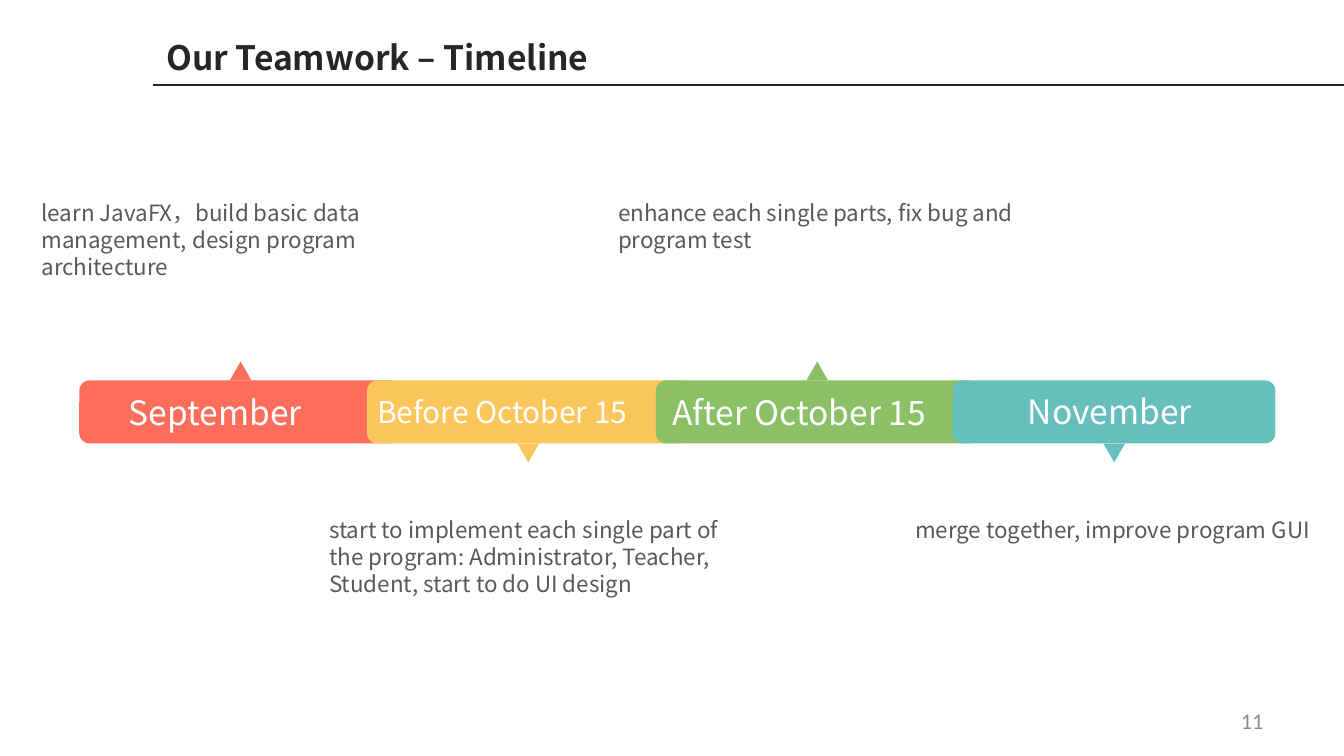
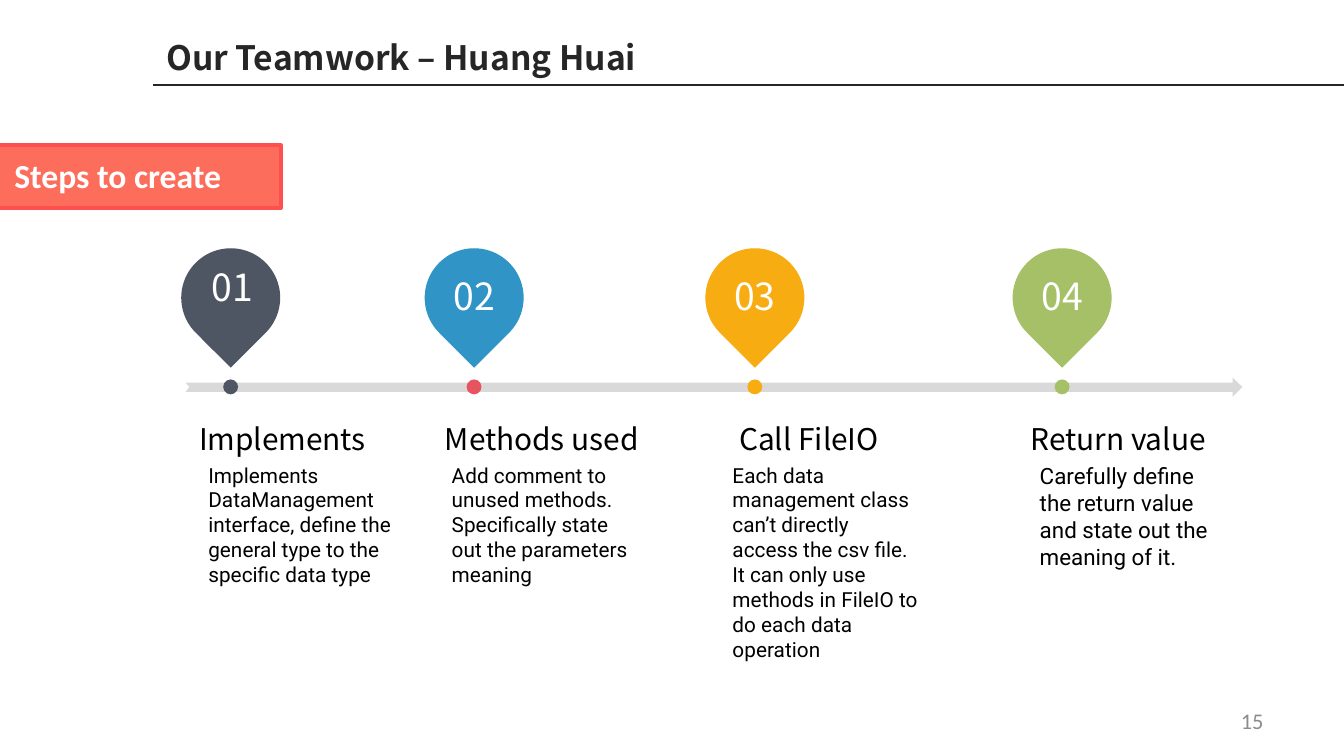
from lxml.etree import SubElement
from pptx import Presentation
from pptx.dml.color import RGBColor
from pptx.enum.shapes import MSO_CONNECTOR as Connector, MSO_SHAPE as Shape
from pptx.enum.text import MSO_ANCHOR as Anchor, MSO_AUTO_SIZE as AutoSize, PP_ALIGN as Align
from pptx.oxml.ns import qn
from pptx.util import Pt

INK = RGBColor(0x26, 0x26, 0x26)
BLACK = RGBColor(0x00, 0x00, 0x00)
WHITE = RGBColor(0xFF, 0xFF, 0xFF)
TEXT_GREY = RGBColor(0x59, 0x59, 0x59)
NUMBER_GREY = RGBColor(0x8C, 0x8C, 0x8C)
TRACK_GREY = RGBColor(0xD9, 0xD9, 0xD9)
CORAL = RGBColor(0xFC, 0x6D, 0x5C)
CORAL_EDGE = RGBColor(0xFF, 0x50, 0x50)
YELLOW = RGBColor(0xFB, 0xC6, 0x5C)
GREEN = RGBColor(0x8B, 0xC0, 0x66)
TEAL = RGBColor(0x66, 0xBF, 0xBD)
SLATE = RGBColor(0x4E, 0x56, 0x63)
BLUE = RGBColor(0x31, 0x94, 0xC6)
RED = RGBColor(0xE7, 0x53, 0x5F)
AMBER = RGBColor(0xF7, 0xAC, 0x12)
OLIVE = RGBColor(0xA5, 0xC0, 0x67)

MAIN_FONT = "Noto Sans CJK SC"
NOTE_FONT = "Roboto"
PLAIN_FONT = "Calibri"
LINE_HEIGHT = 1.2


class SlideWriter:
    """Holds the deck, its shared style and the slide being filled."""

    def __init__(self):
        self.deck = Presentation()
        self.deck.slide_width, self.deck.slide_height = Pt(720), Pt(405)
        self.page = None

    def start(self, title, title_width, number):
        """Add a page with its title, rule and page number."""
        self.page = self.deck.slides.add_slide(self.deck.slide_layouts[6])
        self.text(title, 82, 16.5, title_width, 28.8, 18, INK, bold=True, wrap=False)
        self.rule(82, 45.4, 720)
        self.text(str(number), 516, 375, 168, 21.6, 12, NUMBER_GREY, font=PLAIN_FONT,
                  align=Align.RIGHT, anchor=Anchor.MIDDLE, grow=False)

    def text(self, words, left, top, width, height, size, color, font=MAIN_FONT,
             bold=False, wrap=True, grow=True, align=Align.LEFT, anchor=Anchor.TOP,
             insets=(7.2, 3.6), spacing=None):
        box = self.page.shapes.add_textbox(Pt(left), Pt(top), Pt(width), Pt(height))
        frame = box.text_frame
        frame.text = words
        frame.word_wrap = wrap
        frame.auto_size = AutoSize.SHAPE_TO_FIT_TEXT if grow else AutoSize.NONE
        frame.vertical_anchor = anchor
        frame.margin_left = frame.margin_right = Pt(insets[0])
        frame.margin_top = frame.margin_bottom = Pt(insets[1])
        para = frame.paragraphs[0]
        para.alignment = align
        para.line_spacing = Pt(spacing or size * LINE_HEIGHT)
        span = para.runs[0]
        span.font.size, span.font.bold, span.font.name = Pt(size), bold, font
        span.font.color.rgb = color
        SubElement(span.font._element, qn("a:ea")).set("typeface", font)

    def paint(self, shape, fill, edge=None):
        shape.shadow.inherit = False
        shape.fill.solid()
        shape.fill.fore_color.rgb = fill
        if edge is None:
            shape.line.fill.background()
        else:
            shape.line.color.rgb = edge
            shape.line.width = Pt(2)

    def shape(self, kind, left, top, width, height, fill, edge=None, rotation=0):
        shape = self.page.shapes.add_shape(kind, Pt(left), Pt(top), Pt(width), Pt(height))
        shape.rotation = rotation
        self.paint(shape, fill, edge)

    def outline(self, points, fill):
        start, *rest = [(Pt(x), Pt(y)) for x, y in points]
        builder = self.page.shapes.build_freeform(*start)
        builder.add_line_segments(rest, close=True)
        self.paint(builder.convert_to_shape(), fill)

    def rule(self, left, top, right):
        line = self.page.shapes.add_connector(
            Connector.STRAIGHT, Pt(left), Pt(top), Pt(right), Pt(top))
        line.line.color.rgb = INK
        line.line.width = Pt(1)
        SubElement(line._element.spPr, qn("a:effectLst"))

    def period(self, left, color, label, label_box, label_size, note, note_height, above):
        """Draw one bar of the timeline with its pointer, label and note."""
        bar_top, bar_width, bar_height = 203.8, 172.8, 33.8
        tip_width, tip_height = 11.6, 10.1
        self.shape(Shape.ROUNDED_RECTANGLE, left, bar_top, bar_width, bar_height, color)
        self.shape(Shape.ISOSCELES_TRIANGLE, left + (bar_width - tip_width) / 2,
                   bar_top - tip_height if above else bar_top + bar_height,
                   tip_width, tip_height, color, rotation=0 if above else 180)
        self.text(label, *label_box, label_size * LINE_HEIGHT + 7.2, label_size, WHITE,
                  wrap=False)
        self.text(note, left - 27.4, 103 if above else 273, 226.8, note_height, 12,
                  TEXT_GREY)

    def step(self, number, center, pin_color, dot_color, heading, heading_left,
             heading_width, note, note_size=11.1, note_height=73, number_spacing=20):
        """Draw one numbered pin with its dot, heading and note."""
        pin, dot = 53, 8
        self.shape(Shape.TEAR, center - pin / 2, 133, pin, pin, pin_color, rotation=135)
        number_height = 20 if number_spacing == 20 else 12
        # A tight line lifts the digits above the middle of the pin.
        self.text(number, center - 22 + (20 - number_spacing) / 10,
                  160.4 - number_height / 2, 44, number_height, 20, WHITE,
                  align=Align.CENTER, anchor=Anchor.MIDDLE, insets=(0, 0),
                  spacing=number_spacing)
        self.shape(Shape.OVAL, center - dot / 2, 207.3 - dot / 2, dot, dot, dot_color)
        self.text(heading, heading_left, 221.8, heading_width, 26.6, 16, BLACK,
                  insets=(3.6, 3.6))
        self.text(note, center - 12, 247.7, 99.4, note_height, note_size, BLACK,
                  font=NOTE_FONT, grow=False, insets=(0, 0))


def add_timeline(writer):
    writer.start("Our Teamwork – Timeline", 253.4, 11)
    writer.period(42.5, CORAL, "September", (61.9, 206.6, 110.2), 18,
                  "learn JavaFX，build basic data management, design program architecture",
                  51, above=True)
    writer.period(196.6, YELLOW, "Before October 15", (195.1, 207.4, 162.7), 16,
                  "start to implement each single part of the program: "
                  "Administrator, Teacher, Student, start to do UI design",
                  65.5, above=False)
    writer.period(351.4, GREEN, "After October 15", (353.2, 206.6, 161.3), 18,
                  "enhance each single parts, fix bug and program test", 36, above=True)
    writer.period(510.5, TEAL, "November", (543.6, 205.9, 106.6), 18,
                  "merge together, improve program GUI", 36, above=False)


def add_steps(writer):
    writer.start("Our Teamwork – Huang Huai", 278.6, 15)
    writer.shape(Shape.RECTANGLE, -31, 77.8, 181.4, 33.8, CORAL, CORAL_EDGE)
    writer.text("Steps to create", 0.6, 79.6, 127, 28.8, 18, WHITE, font=PLAIN_FONT,
                bold=True, wrap=False)
    writer.outline([(99.4, 205), (660.4, 205), (660.4, 202.3), (665.6, 207.4),
                    (660.4, 212.5), (660.4, 210), (99.4, 210), (101.5, 207.4)],
                   TRACK_GREY)
    writer.step("01", 123.6, SLATE, SLATE, "Implements", 103, 99.4,
                "Implements DataManagement interface, define the general type "
                "to the specific data type", number_spacing=10)
    writer.step("02", 254, BLUE, RED, "Methods used", 234.7, 121,
                "Add comment to unused methods. Specifically state out the "
                "parameters meaning")
    writer.step("03", 404.4, AMBER, AMBER, "Call FileIO", 392.4, 90.7,
                "Each data management class can’t directly access the csv file. "
                "It can only use methods in FileIO to do each data operation",
                note_height=95)
    writer.step("04", 569, OLIVE, OLIVE, "Return value", 548.6, 108,
                "Carefully define the return value and state out the meaning of it.",
                note_size=12)


def main():
    writer = SlideWriter()
    add_timeline(writer)
    add_steps(writer)
    writer.deck.save("out.pptx")


if __name__ == "__main__":
    main()
